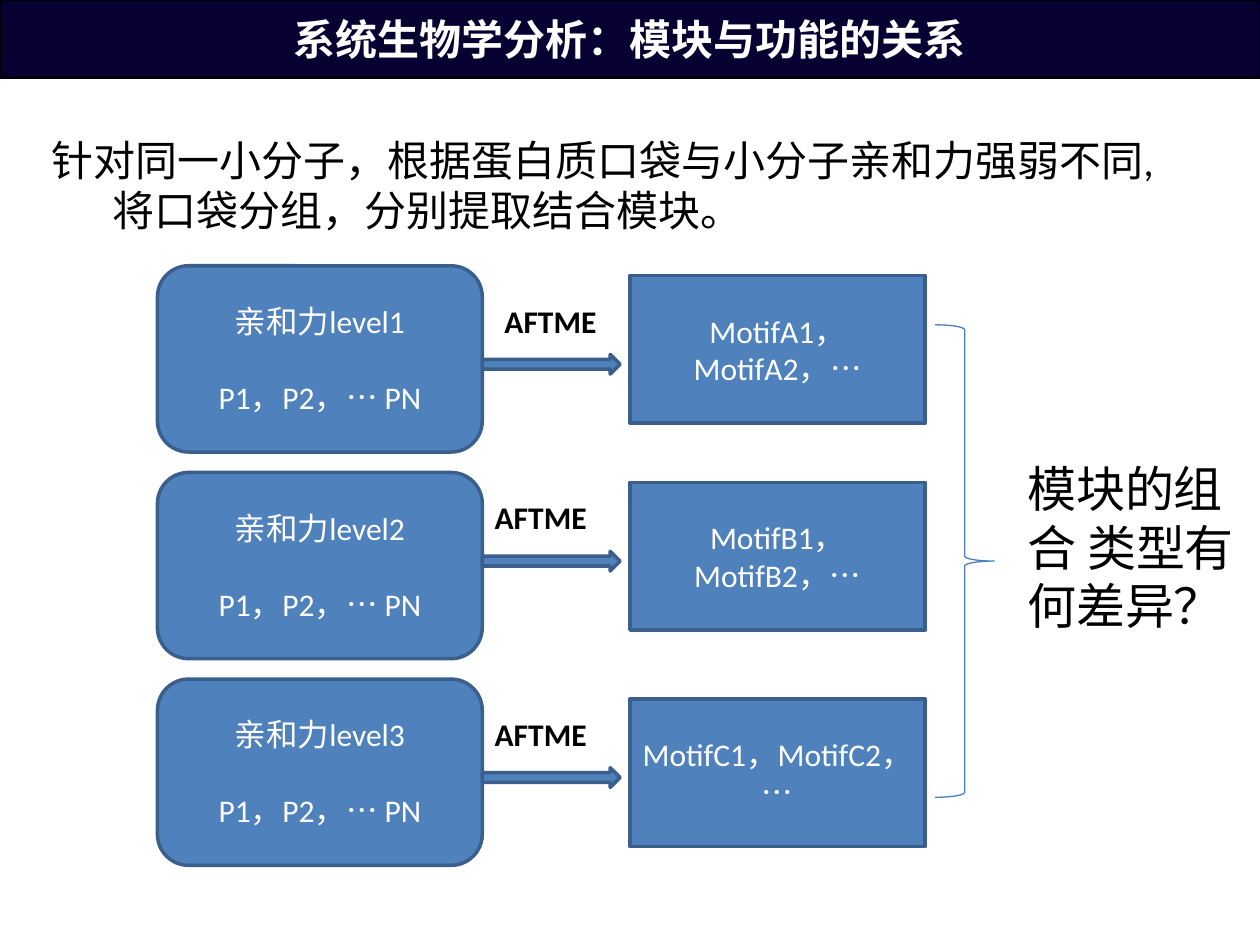
import pptx
import pptx.util
import pptx.dml.color
import pptx.enum.shapes
import pptx.enum.text
import pptx.oxml
import pptx.oxml.ns

Pt = pptx.util.Pt
SHAPE = pptx.enum.shapes.MSO_SHAPE
ALIGN = pptx.enum.text.PP_ALIGN
ANCHOR = pptx.enum.text.MSO_ANCHOR
LATIN, CJK = "Calibri", "Noto Sans CJK SC"
COLORS = {
    "banner": "070131",
    "block": "4F81BD",
    "edge": "3A5F8C",
    "brace": "4B7EBC",
    "dark": "000000",
    "light": "FFFFFF",
}


def color(name):
    """Return the named palette colour."""
    return pptx.dml.color.RGBColor.from_string(COLORS[name])


def write(paragraph, text, size, ink, bold=False, font=LATIN):
    """Add one styled run with its East Asian font."""
    run = paragraph.add_run()
    run.text = text
    run.font.size, run.font.bold = Pt(size), bold
    run.font.color.rgb = color(ink)
    run.font.name = font
    east_asian = pptx.oxml.parse_xml(
        f'<a:ea {pptx.oxml.ns.nsdecls("a")} typeface="{CJK}"/>')
    run.font._element.append(east_asian)


def add_block(slide, kind, box, fill="block", edge="edge", weight=2):
    """Add a flat preset shape; a fill of None leaves it hollow."""
    block = slide.shapes.add_shape(kind, *map(Pt, box))
    block.shadow.inherit = False
    if fill:
        block.fill.solid()
        block.fill.fore_color.rgb = color(fill)
    else:
        block.fill.background()
    block.line.color.rgb = color(edge)
    block.line.width = Pt(weight)
    return block


def add_centered(block, lines, size, gap=0, **style):
    """Centre light lines in a block, gap points apart."""
    frame = block.text_frame
    frame.word_wrap = True
    frame.vertical_anchor = ANCHOR.MIDDLE
    for index, line in enumerate(lines):
        paragraph = frame.add_paragraph() if index else frame.paragraphs[0]
        paragraph.alignment = ALIGN.CENTER
        if index:
            paragraph.space_before = Pt(gap)
        write(paragraph, line, size, "light", **style)


def add_label(slide, box, text, size, bold=False):
    """Add a wrapping dark text box and return its paragraph."""
    label = slide.shapes.add_textbox(*map(Pt, box))
    label.text_frame.word_wrap = True
    paragraph = label.text_frame.paragraphs[0]
    write(paragraph, text, size, "dark", bold)
    return paragraph


def add_banner(slide, box):
    """Draw the title banner."""
    banner = add_block(slide, SHAPE.RECTANGLE, box, "banner", "dark", 0.75)
    add_centered(banner, ["系统生物学分析：模块与功能的关系"], 24, bold=True, font=CJK)


def add_intro(slide, box):
    """Write the introduction with a hanging indent."""
    intro = add_label(
        slide, box,
        " 针对同一小分子，根据蛋白质口袋与小分子亲和力强弱不同,将口袋分组，分别提取结合模块。", 24)
    properties = intro._p.get_or_add_pPr()
    properties.set("marL", str(Pt(40.5)))
    properties.set("indent", str(-Pt(40.5)))


def add_level_row(slide, box, level, motif, label_left, arrow_top, motif_top):
    """Draw one affinity level, its AFTME arrow and its motifs."""
    left, top, width, height = box
    pocket_width = 185.6
    arrow_left = left + pocket_width
    pocket = add_block(slide, SHAPE.ROUNDED_RECTANGLE,
                       (left, top, pocket_width, height))
    add_centered(pocket, [f"亲和力level{level}", "P1，P2，… PN"], 18, gap=22)
    add_block(slide, SHAPE.RIGHT_ARROW,
              (arrow_left, top + arrow_top, 78.75, 11.25))
    add_label(slide, (arrow_left + label_left, top + arrow_top - 33.75, 78.75, 29),
              "AFTME", 18, bold=True)
    motifs = add_block(slide, SHAPE.RECTANGLE,
                       (left + width - 168.75, top + motif_top, 168.75, 84.4))
    add_centered(motifs, [f"Motif{motif}1，Motif{motif}2，…"], 18)


def add_levels(slide, box):
    """Stack the affinity rows at an even pitch."""
    left, top, width, height = box
    row_height = 106.4
    rows = [("A", 5.6, 50.6, 5.6), ("B", 0, 45, 5.6), ("C", 0, 50.6, 11.25)]
    pitch = (height - row_height) / (len(rows) - 1)
    for index, (motif, *offsets) in enumerate(rows):
        add_level_row(slide, (left, top + index * pitch, width, row_height),
                      index + 1, motif, *offsets)


def add_question(slide, box):
    """Draw the brace and the question it leads to."""
    left, top, width, height = box
    add_block(slide, SHAPE.RIGHT_BRACE, (left, top, 33.75, height),
              None, "brace", 0.75)
    add_label(slide, (left + 45.5, top + 72.7, width - 45.5, 109),
              "模块的组合 类型有何差异？", 28)


def main():
    """Build and save the slide."""
    deck = pptx.Presentation()
    deck.slide_width, deck.slide_height = Pt(720), Pt(540)
    slide = deck.slides.add_slide(deck.slide_layouts[6])
    add_banner(slide, (0, 0, 720, 44.6))
    add_intro(slide, (16.9, 73.1, 646.6, 65.4))
    add_levels(slide, (90, 151.9, 438.75, 342.6))
    add_question(slide, (534.4, 185.6, 185.6, 270))
    deck.save("out.pptx")


if __name__ == "__main__":
    main()
